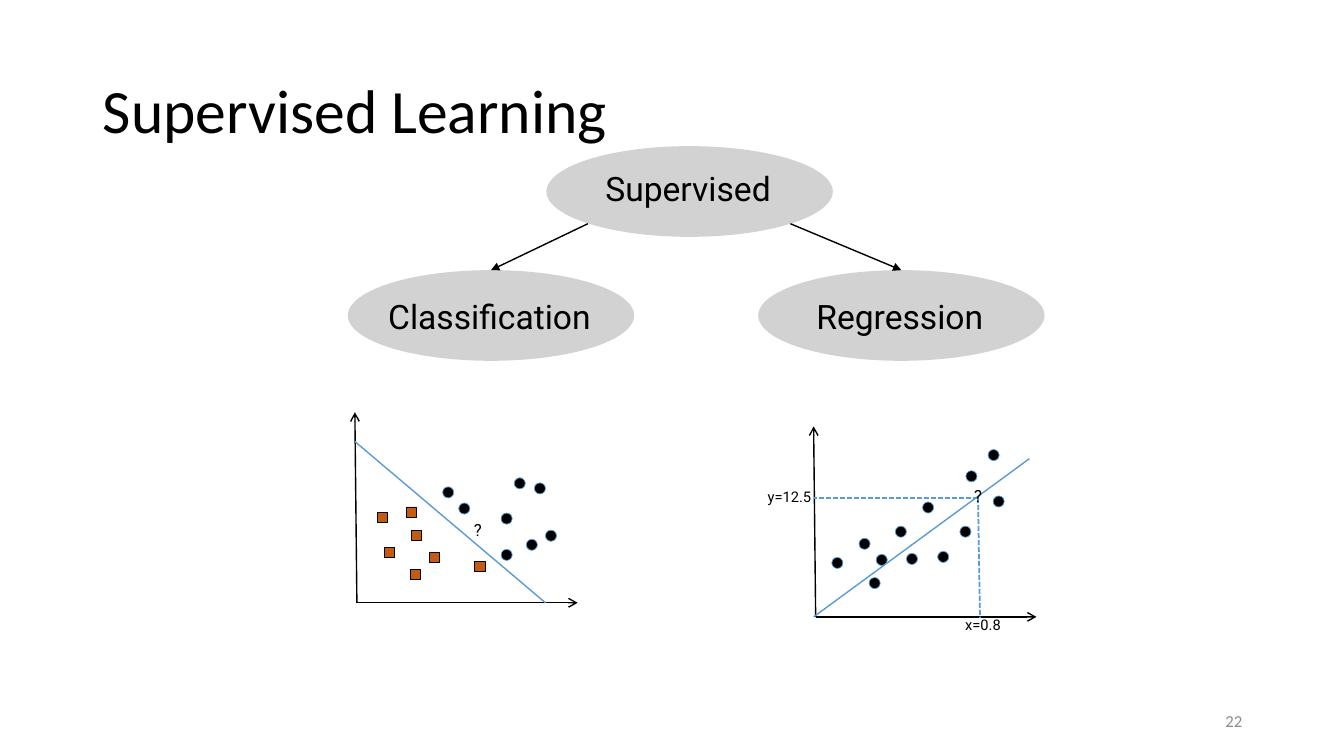
from lxml.etree import SubElement
from pptx import Presentation
from pptx.dml.color import RGBColor
from pptx.enum.dml import MSO_LINE
from pptx.enum.shapes import MSO_CONNECTOR, MSO_SHAPE
from pptx.enum.text import MSO_ANCHOR, PP_ALIGN
from pptx.oxml.ns import qn
from pptx.util import Inches, Pt

BLACK = RGBColor(0x00, 0x00, 0x00)
GREY = RGBColor(0xA5, 0xA5, 0xA5)
NUMBER_GREY = RGBColor(0x8C, 0x8C, 0x8C)
BLUE = RGBColor(0x5B, 0x9B, 0xD5)
ORANGE = RGBColor(0xC5, 0x5A, 0x11)

NODE_WIDTH, NODE_HEIGHT = 2.84, 0.9

# Top left corners of the data points
CLASS_DOTS = [(4.97, 5.45), (5.22, 5.35), (4.97, 5.09), (5.1, 4.74),
              (5.3, 4.79), (5.41, 5.26), (4.39, 4.83), (4.55, 4.99)]
CLASS_SQUARES = [(3.74, 5.08), (3.81, 5.43), (4.08, 5.26), (4.71, 5.57),
                 (4.03, 5.03), (4.26, 5.48), (4.07, 5.65)]
REGRESSION_DOTS = [(8.25, 5.53), (8.52, 5.34), (8.69, 5.5), (8.88, 5.22),
                   (8.99, 5.49), (9.15, 4.98), (9.52, 5.22), (9.58, 4.67),
                   (9.3, 5.47), (9.85, 4.92), (9.8, 4.46), (8.62, 5.73)]


def format_para(para, size, font="Roboto", color=BLACK, align=PP_ALIGN.CENTER):
    para.alignment = align
    para.font.size = Pt(size)
    para.font.name = font
    para.font.color.rgb = color


def add_title(page, text):
    title = page.shapes.title
    title.left, title.top = Inches(0.92), Inches(0.4)
    title.width, title.height = Inches(11.5), Inches(1.45)
    title.text_frame.text = text
    title.text_frame.vertical_anchor = MSO_ANCHOR.MIDDLE
    para = title.text_frame.paragraphs[0]
    para.line_spacing = 0.9
    format_para(para, 44, "Calibri", align=PP_ALIGN.LEFT)


def add_label(page, text, left, top, width, height, size, **style):
    box = page.shapes.add_textbox(Inches(left), Inches(top), Inches(width), Inches(height))
    box.text_frame.word_wrap = True
    box.text_frame.text = text
    format_para(box.text_frame.paragraphs[0], size, **style)
    return box


def add_node(page, text, left, top, text_top):
    node = page.shapes.add_shape(MSO_SHAPE.OVAL, Inches(left), Inches(top),
                                 Inches(NODE_WIDTH), Inches(NODE_HEIGHT))
    node.shadow.inherit = False
    node.fill.solid()
    node.fill.fore_color.rgb = GREY
    color = node.fill._xPr.find(qn("a:solidFill"))[0]
    SubElement(color, qn("a:alpha"), val="49000")
    node.line.fill.background()
    add_label(page, text, left + 0.04, text_top, 2.73, 0.5, 24)
    return node


def add_line(page, start, end, color=BLACK, width=1, dash=None, head=None):
    points = [Inches(value) for value in (*start, *end)]
    line = page.shapes.add_connector(MSO_CONNECTOR.STRAIGHT, *points)
    line.line.color.rgb = color
    line.line.width = Pt(width)
    if dash:
        line.line.dash_style = dash
    if head:
        SubElement(line.line._get_or_add_ln(), qn("a:tailEnd"), type=head)
    SubElement(line._element.spPr, qn("a:effectLst"))
    return line


def add_points(page, corners, kind, size, fill, outline):
    for left, top in corners:
        point = page.shapes.add_shape(kind, Inches(left), Inches(top),
                                      Inches(size), Inches(size))
        point.shadow.inherit = False
        point.fill.solid()
        point.fill.fore_color.rgb = fill
        point.line.color.rgb = outline
        point.line.width = Pt(0.5)


def add_dots(page, corners):
    add_points(page, corners, MSO_SHAPE.OVAL, 0.11, BLACK, BLUE)


def add_axes(page, left, bottom):
    add_line(page, (left, bottom), (left - 0.02, bottom - 1.89), head="arrow")
    add_line(page, (left, bottom), (left + 2.19, bottom), head="arrow")


def add_tree(page):
    add_node(page, "Supervised", 5.42, 1.45, 1.62)
    classification = add_node(page, "Classification", 3.45, 2.68, 2.89)
    regression = add_node(page, "Regression", 7.52, 2.68, 2.89)
    for start, end, child in [((7.84, 2.22), (8.94, 2.68), regression),
                              ((5.83, 2.22), (4.87, 2.68), classification)]:
        arrow = add_line(page, start, end, head="triangle")
        arrow.end_connect(child, 0)


def add_regression_plot(page):
    add_axes(page, 8.09, 6.12)
    add_dots(page, REGRESSION_DOTS)
    add_line(page, (8.07, 6.12), (10.21, 4.55), BLUE)
    # Guides from the predicted point to both axes
    for end in [(9.72, 6.13), (8.07, 4.94)]:
        add_line(page, (9.7, 4.94), end, BLUE, 1.25, MSO_LINE.SQUARE_DOT)
    add_label(page, "x=0.8", 9.08, 6.06, 1.34, 0.29, 10.5)
    add_label(page, "y=12.5", 7.16, 4.79, 1.34, 0.29, 10.5)
    add_label(page, "?", 9.52, 4.77, 0.36, 0.3, 12)


def add_classification_plot(page):
    add_axes(page, 3.54, 5.98)
    add_dots(page, CLASS_DOTS)
    add_line(page, (3.52, 4.38), (5.41, 5.98), BLUE)
    add_points(page, CLASS_SQUARES, MSO_SHAPE.RECTANGLE, 0.1, ORANGE, BLACK)
    add_label(page, "?", 4.56, 5.11, 0.36, 0.3, 12)


def main():
    deck = Presentation()
    deck.slide_width, deck.slide_height = Inches(13.33), Inches(7.5)
    page = deck.slides.add_slide(deck.slide_layouts[5])

    add_title(page, "Supervised Learning")
    number = add_label(page, "22", 9.42, 6.95, 3, 0.4, 12, font="Calibri",
                       color=NUMBER_GREY, align=PP_ALIGN.RIGHT)
    number.text_frame.vertical_anchor = MSO_ANCHOR.MIDDLE
    add_tree(page)
    add_regression_plot(page)
    add_classification_plot(page)

    deck.save("out.pptx")


if __name__ == "__main__":
    main()
